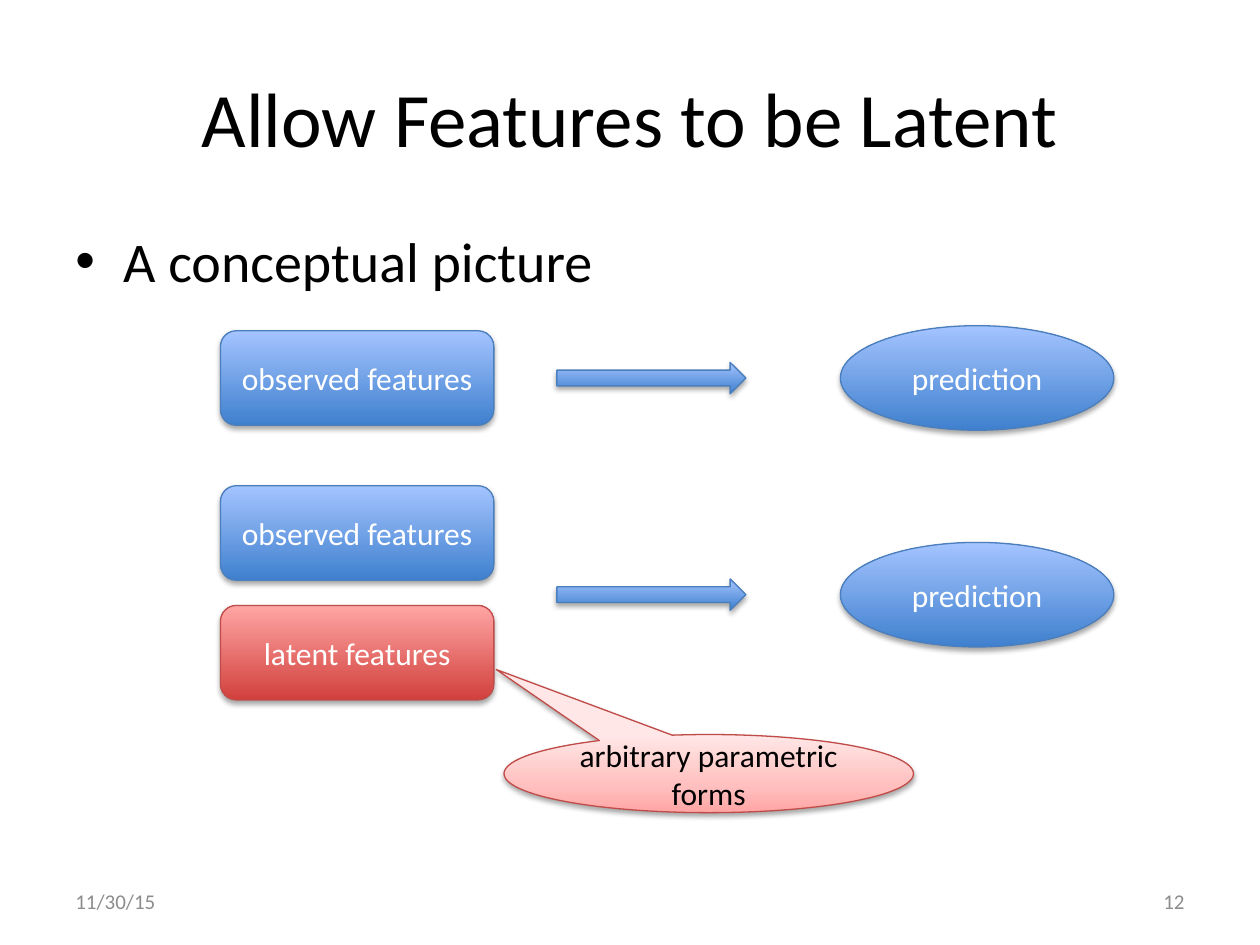
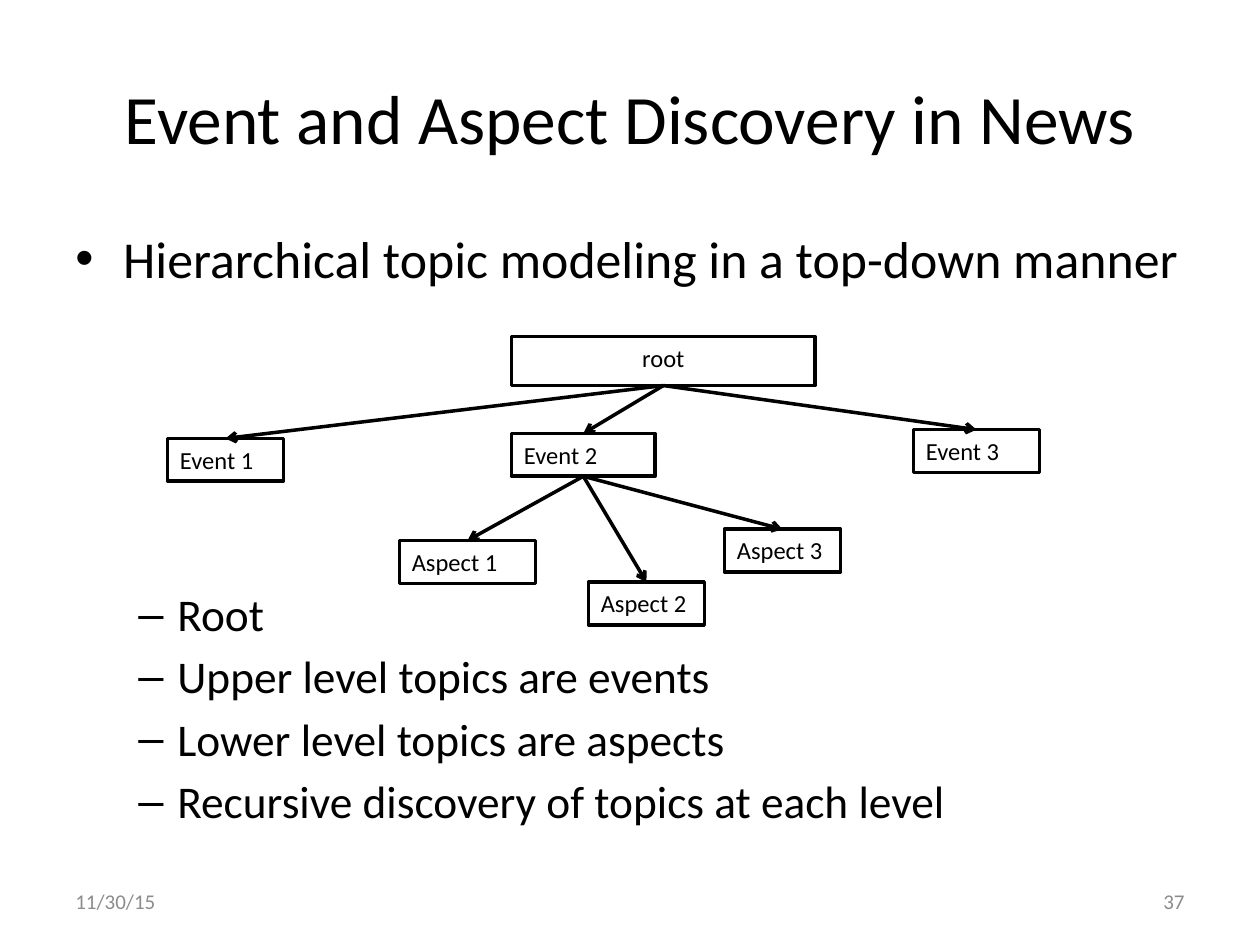
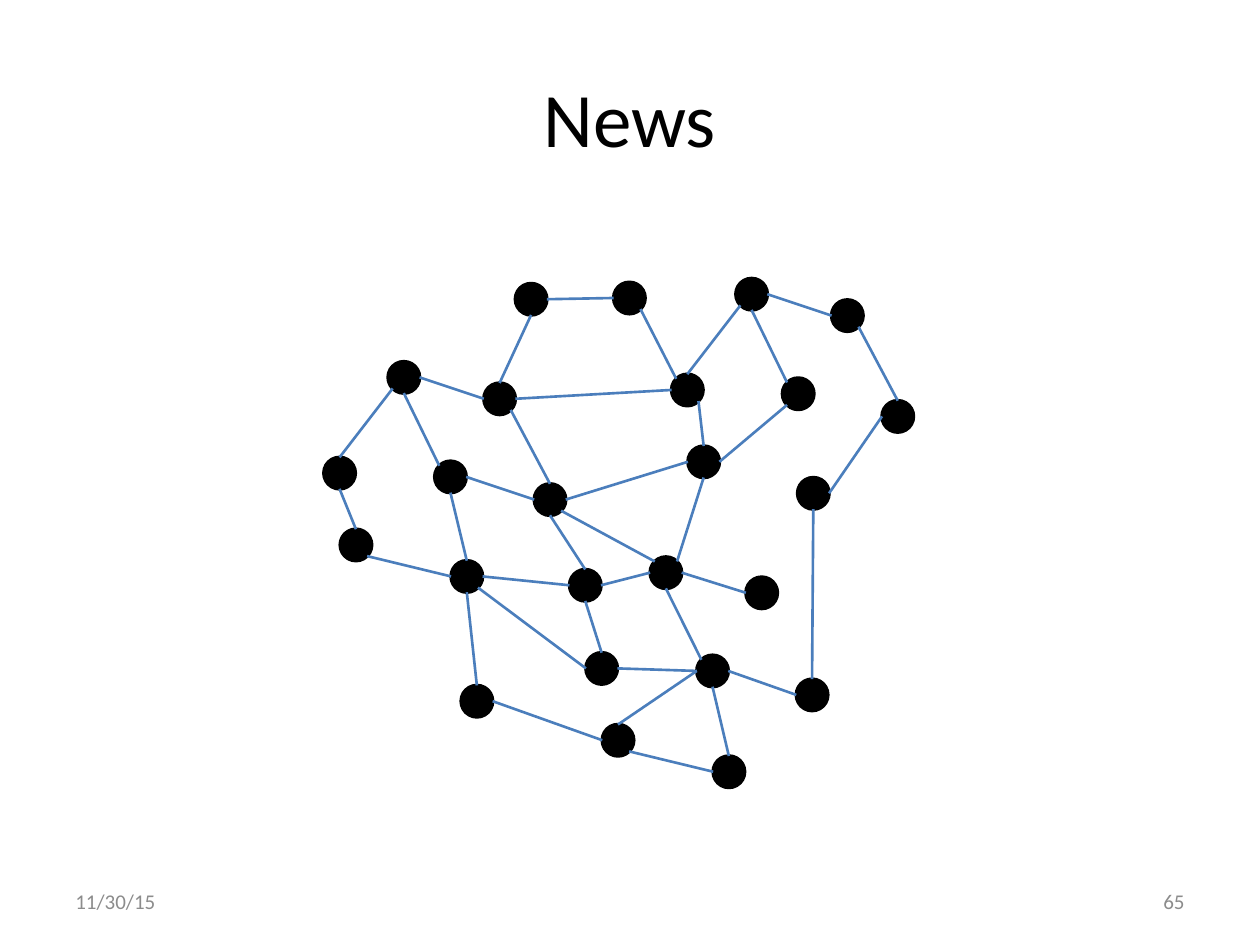
from lxml import etree
from pptx import Presentation
from pptx.dml.color import RGBColor
from pptx.enum.shapes import MSO_CONNECTOR, MSO_SHAPE
from pptx.enum.text import MSO_ANCHOR, PP_ALIGN
from pptx.oxml.ns import qn
from pptx.util import Emu, Pt

LINE = MSO_CONNECTOR.STRAIGHT
RECT, ROUND, OVAL = MSO_SHAPE.RECTANGLE, MSO_SHAPE.ROUNDED_RECTANGLE, MSO_SHAPE.OVAL
ARROW, CALLOUT = MSO_SHAPE.RIGHT_ARROW, MSO_SHAPE.OVAL_CALLOUT
LEFT, CENTER, RIGHT = PP_ALIGN.LEFT, PP_ALIGN.CENTER, PP_ALIGN.RIGHT
TOP, MIDDLE = MSO_ANCHOR.TOP, MSO_ANCHOR.MIDDLE

FONT = "Calibri"
BLACK = RGBColor(0x00, 0x00, 0x00)
WHITE = RGBColor(0xFF, 0xFF, 0xFF)
GRAY = RGBColor(0x8C, 0x8C, 0x8C)
BLUE_LINE = RGBColor(0x4B, 0x7E, 0xBC)
RED_LINE = RGBColor(0xBF, 0x4C, 0x48)
BLUE_DARK = RGBColor(0x3F, 0x80, 0xCE)
BLUE_LIGHT = RGBColor(0xA4, 0xC4, 0xFF)
RED_DARK = RGBColor(0xD1, 0x40, 0x3C)
RED_LIGHT = RGBColor(0xFF, 0xA6, 0xA5)
PINK = RGBColor(0xFF, 0xC0, 0xBF)
PINK_LIGHT = RGBColor(0xFF, 0xE7, 0xE7)

# Styles: gradient stops from bottom to top, outline
BLUE = ([(0, BLUE_DARK), (100, BLUE_LIGHT)], BLUE_LINE)
RED = ([(0, RED_DARK), (100, RED_LIGHT)], RED_LINE)
PALE = ([(0, RED_LIGHT), (35, PINK), (100, PINK_LIGHT)], RED_LINE)

# Shared layout, 100 px to the inch
PX = 9144
SLIDE_W, SLIDE_H = 1000, 750
TITLE_BOX = (50, 30, 900, 125)
BODY_BOX = (50, 175, 900, 495)
DATE_BOX = (50, 695, 233, 40)
NUMBER_BOX = (717, 695, 233, 40)
DATE = "11/30/15"
LEVELS = [("•", 38, 38), ("–", 81, 31)]  # bullet, left margin, hanging

# Slide 1: boxes by centre line
FEATURES = [("observed features", 300, BLUE), ("observed features", 423, BLUE),
            ("latent features", 518, RED)]
FLOW_ROWS = [300, 472]
FEATURE_X, ARROW_X, PREDICTION_X = 175, 442, 667
FEATURE_SIZE, ARROW_SIZE, PREDICTION_SIZE = (217, 75), (150, 25), (217, 83)
CALLOUT_BOX, CALLOUT_TIP = (400, 583, 325, 62), (-0.519, -1.333)
PICTURE_BULLETS = [("A conceptual picture", 0, 32, 0)]

# Slide 2: text, level, size, space before
TOPIC_BULLETS = [
    ("Hierarchical topic modeling in a top-down manner", 0, 29.6, 0),
    ("Root", 1, 25.9, 170),
    ("Upper level topics are events", 1, 25.9, 4.5),
    ("Lower level topics are aspects", 1, 25.9, 4.5),
    ("Recursive discovery of topics at each level", 1, 25.9, 4.5),
]
TREE_BOXES = {
    "root": (406, 267, 241, 39),
    "Event 1": (133, 348, 92, 34),
    "Event 2": (406, 344, 114, 34),
    "Event 3": (725, 341, 100, 34),
    "Aspect 1": (317, 429, 108, 34),
    "Aspect 2": (467, 462, 92, 34),
    "Aspect 3": (575, 420, 92, 34),
}
CHILDREN = {"root": ["Event 1", "Event 2", "Event 3"],
            "Event 2": ["Aspect 1", "Aspect 2", "Aspect 3"]}

# Slide 3: left and top of each node, then node:site pairs
NODE_D = 25
NODES = {
    "a": (257, 363), "b": (270, 420), "c": (345, 366), "d": (424, 384),
    "e": (358, 445), "f": (308, 287), "g": (384, 304), "h": (465, 518),
    "i": (478, 575), "j": (553, 520), "k": (632, 539), "l": (566, 600),
    "m": (516, 442), "n": (592, 458), "o": (533, 297), "p": (546, 354),
    "q": (621, 300), "r": (700, 318), "s": (633, 379), "t": (584, 221),
    "u": (660, 238), "v": (452, 452), "w": (366, 544), "x": (487, 224),
    "y": (409, 225),
}
EDGES = """
f:BL-a:T f:B-c:TL b:T-a:B e:L-b:BR d:L-c:R c:B-e:T f:R-g:L g:BR-d:T
m:TL-d:BR m:B-j:TL i:T-j:L l:L-i:BR k:L-j:R j:B-l:T m:R-n:L s:B-k:T
t:BL-o:T t:B-q:TL p:T-o:BR m:TR-p:B r:L-s:R q:BL-p:R t:R-u:L u:BR-r:T
h:L-e:BR j:L-h:R o:L-g:R p:L-d:R v:T-d:B v:L-e:R m:L-v:R h:T-v:B
y:B-g:T o:TL-x:BR x:L-y:R w:T-e:B i:L-w:R
""".split()


def emu(*lengths):
    return [Emu(round(n * PX)) for n in lengths]


def add_run(p, text, size, color):
    r = p.add_run()
    r.text = text
    r.font.name, r.font.size, r.font.color.rgb = FONT, Pt(size), color


def write(shape, text, size, color, align=CENTER, anchor=MIDDLE):
    tf = shape.text_frame
    tf.word_wrap = True
    tf.vertical_anchor = anchor
    p = tf.paragraphs[0]
    p.alignment = align
    add_run(p, text, size, color)


def add_text(s, box, *args):
    write(s.shapes.add_textbox(*emu(*box)), *args)


def add_bullets(s, items):
    tf = s.shapes.add_textbox(*emu(*BODY_BOX)).text_frame
    tf.word_wrap = True
    for i, (text, level, size, before) in enumerate(items):
        p = tf.add_paragraph() if i else tf.paragraphs[0]
        bullet, margin, hanging = LEVELS[level]
        p.level = level
        p.space_before = Pt(before)
        pPr = p._p.get_or_add_pPr()
        pPr.set("marL", str(margin * PX))
        pPr.set("indent", str(-hanging * PX))
        etree.SubElement(pPr, qn("a:buFont"), typeface="Arial")
        etree.SubElement(pPr, qn("a:buChar"), char=bullet)
        add_run(p, text, size, BLACK)


def add_shape(s, kind, box, fill, line, width):
    sp = s.shapes.add_shape(kind, *emu(*box))
    sp.shadow.inherit = False
    sp.fill.solid()
    sp.fill.fore_color.rgb = fill
    sp.line.color.rgb, sp.line.width = line, Pt(width)
    return sp


def add_glossy(s, kind, box, style, text="", color=WHITE):
    stops, line = style
    sp = add_shape(s, kind, box, WHITE, line, 0.75)
    sp.fill.gradient()
    sp.fill.gradient_angle = 90
    spPr = sp._element.spPr
    gs_list = spPr.find(".//" + qn("a:gsLst"))
    for gs in list(gs_list):
        gs_list.remove(gs)
    for pos, stop_color in stops:
        gs = etree.SubElement(gs_list, qn("a:gs"), pos=str(pos * 1000))
        etree.SubElement(gs, qn("a:srgbClr"), val=str(stop_color))
    # Soft shadow below
    shadow = etree.SubElement(spPr.find(qn("a:effectLst")), qn("a:outerShdw"),
                              blurRad=str(Pt(3.1)), dist=str(Pt(1.8)),
                              dir="5400000", rotWithShape="0")
    black = etree.SubElement(shadow, qn("a:srgbClr"), val="000000")
    etree.SubElement(black, qn("a:alpha"), val="35000")
    if text:
        write(sp, text, 18, color)
    return sp


def add_line(s, start, end, color, width):
    cn = s.shapes.add_connector(LINE, *emu(*start, *end))
    cn.line.color.rgb, cn.line.width = color, Pt(width)
    etree.SubElement(cn._element.spPr, qn("a:effectLst"))
    return cn


def new_slide(prs, title, number, size=44):
    s = prs.slides.add_slide(prs.slide_layouts[6])
    add_text(s, TITLE_BOX, title, size, BLACK)
    add_text(s, DATE_BOX, DATE, 12, GRAY, LEFT)
    add_text(s, NUMBER_BOX, number, 12, GRAY, RIGHT)
    return s


def centred(x, cy, size):
    return (x, cy - size[1] / 2, *size)


def site_point(ref):
    """Point on a node's rim for a reference such as 'f:BL'."""
    node, site = ref.split(":")
    dx = ("R" in site) - ("L" in site)
    dy = ("B" in site) - ("T" in site)
    reach = NODE_D / 2 / (dx * dx + dy * dy) ** 0.5
    x, y = NODES[node]
    return x + NODE_D / 2 + dx * reach, y + NODE_D / 2 + dy * reach


def latent_slide(prs):
    s = new_slide(prs, "Allow Features to be Latent", "12")
    add_bullets(s, PICTURE_BULLETS)
    for text, cy, style in FEATURES:
        add_glossy(s, ROUND, centred(FEATURE_X, cy, FEATURE_SIZE), style, text)
    for cy in FLOW_ROWS:
        add_glossy(s, ARROW, centred(ARROW_X, cy, ARROW_SIZE), BLUE)
        add_glossy(s, OVAL, centred(PREDICTION_X, cy, PREDICTION_SIZE), BLUE, "prediction")
    sp = add_glossy(s, CALLOUT, CALLOUT_BOX, PALE, "arbitrary parametric forms", BLACK)
    sp.adjustments[0], sp.adjustments[1] = CALLOUT_TIP


def tree_slide(prs):
    s = new_slide(prs, "Event and Aspect Discovery in News", "37", 39.6)
    add_bullets(s, TOPIC_BULLETS)
    boxes = {}
    for name, box in TREE_BOXES.items():
        boxes[name] = add_shape(s, RECT, box, WHITE, BLACK, 2)
        write(boxes[name], name, 14, BLACK, CENTER if name == "root" else LEFT, TOP)
    for parent, children in CHILDREN.items():
        for child in children:
            cn = add_line(s, (0, 0), (0, 0), BLACK, 2)
            cn.begin_connect(boxes[parent], 2)
            cn.end_connect(boxes[child], 0)
            etree.SubElement(cn.line._get_or_add_ln(), qn("a:tailEnd"), type="arrow")


def network_slide(prs):
    s = new_slide(prs, "News", "65")
    for x, y in NODES.values():
        add_shape(s, OVAL, (x, y, NODE_D, NODE_D), BLACK, BLACK, 2)
    for edge in EDGES:
        start, end = map(site_point, edge.split("-"))
        add_line(s, start, end, BLUE_LINE, 1.5)


def main():
    prs = Presentation()
    prs.slide_width, prs.slide_height = emu(SLIDE_W, SLIDE_H)
    latent_slide(prs)
    tree_slide(prs)
    network_slide(prs)
    prs.save("out.pptx")


if __name__ == "__main__":
    main()
